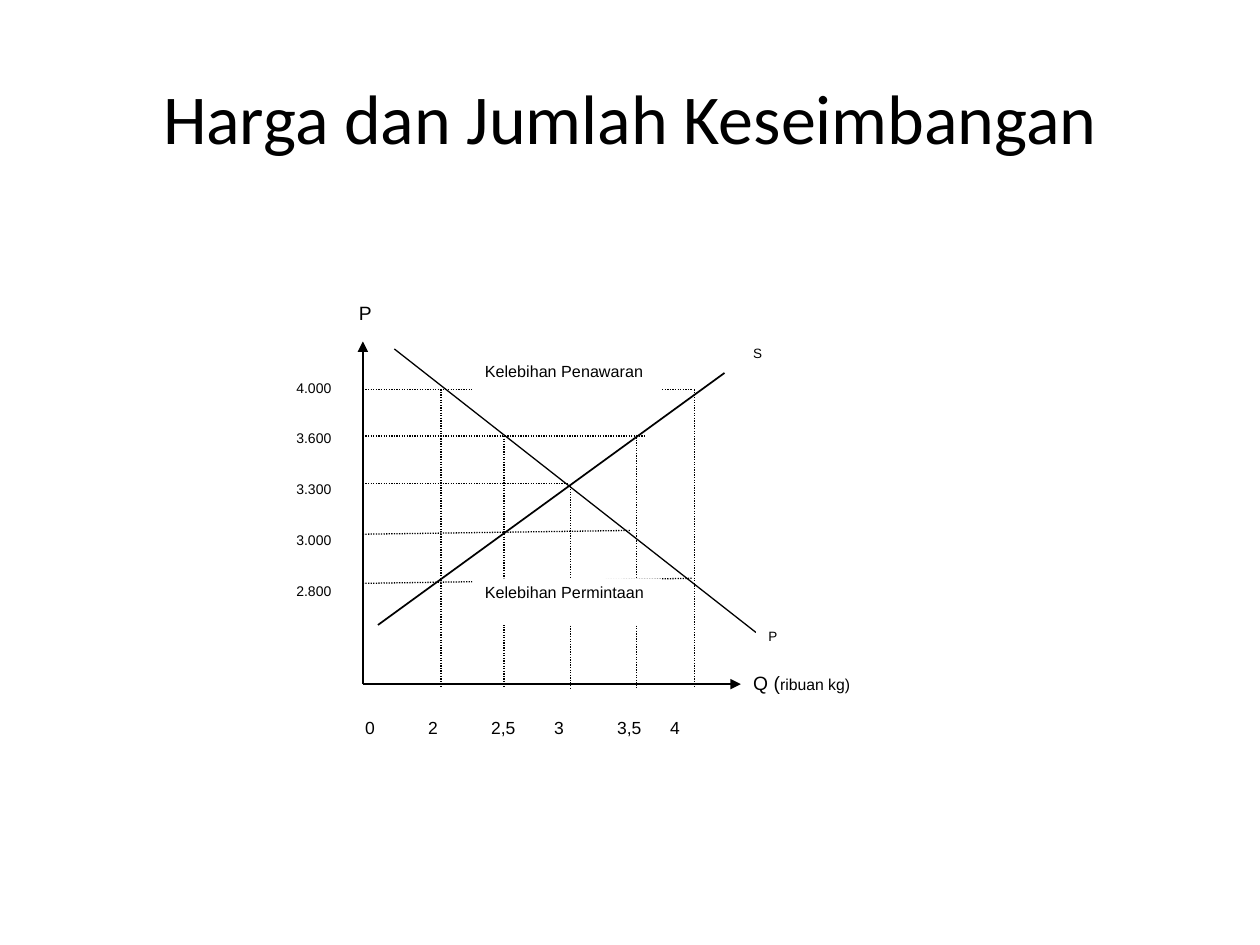
from lxml.etree import SubElement
from pptx import Presentation
from pptx.dml.color import RGBColor
from pptx.enum.dml import MSO_LINE_DASH_STYLE as DASH
from pptx.enum.shapes import MSO_CONNECTOR as CONNECTOR, MSO_SHAPE as SHAPE
from pptx.enum.text import MSO_ANCHOR as ANCHOR, MSO_AUTO_SIZE as AUTO_SIZE, PP_ALIGN as ALIGN
from pptx.oxml.ns import qn
from pptx.util import Inches, Pt

BLACK = RGBColor(0x00, 0x00, 0x00)
WHITE = RGBColor(0xFF, 0xFF, 0xFF)

TITLE = "Harga dan Jumlah Keseimbangan"
PRICES = ["4.000", "3.600", "3.300", "3.000", "2.800"]
QUANTITIES = ["0", "2", "2,5", "3", "3,5", "4"]
QUANTITY_TABS = [0.5, 1, 1.5, 2, 2.42]

ORIGIN_X, ORIGIN_Y = 2.88, 5.43
GUIDE_BOTTOM = 5.46
PRICE_GUIDES = [(3.09, 5.5, 3.09), (3.46, 5.13, 3.46), (3.84, 4.5, 3.84),
                (4.24, 5, 4.21), (4.63, 5.5, 4.59)]
QUANTITY_GUIDES = [(3.5, 3.09), (4, 3.46), (4.53, 3.84), (5.05, 3.45), (5.51, 3.09)]
SUPPLY = (3, 4.96, 5.75, 2.96)
DEMAND = (3.13, 2.77, 6, 5.02)

AXIS_LABELS = [
    ((2.75, 2.34, 0.38, 0.37), [("P", 11)]),
    ((5.88, 5.28, 1.04, 0.38), [("Q (", 11), ("ribuan kg)", 9)]),
]
CURVE_LABELS = [
    ((3.75, 4.59, 1.5, 0.37), [("Kelebihan Permintaan", 9.2)], 0.9),
    ((3.75, 2.84, 1.5, 0.37), [("Kelebihan Penawaran", 9.2)], 0.9),
    ((5.88, 2.71, 0.37, 0.25), [("S", 7.7)], 0.8),
    ((6, 4.96, 0.38, 0.25), [("P", 7.7)], 0.8),
]


def add_run(paragraph, text, size, font="Arial"):
    run = paragraph.add_run()
    run.text = text
    run.font.name = font
    run.font.size = Pt(size)
    run.font.color.rgb = BLACK


def add_label(slide, box, paragraphs, align=ALIGN.LEFT, line_spacing=1.0, gap=0):
    shape = slide.shapes.add_shape(SHAPE.RECTANGLE, *map(Inches, box))
    shape.shadow.inherit = False
    shape.fill.solid()
    shape.fill.fore_color.rgb = WHITE
    shape.line.fill.background()
    frame = shape.text_frame
    frame.word_wrap = True
    frame.vertical_anchor = ANCHOR.TOP
    for index, runs in enumerate(paragraphs):
        paragraph = frame.add_paragraph() if index else frame.paragraphs[0]
        paragraph.alignment = align
        paragraph.line_spacing = line_spacing
        if index:
            paragraph.space_before = Pt(gap)
        for text, size in runs:
            add_run(paragraph, text, size)
    return shape


def add_line(slide, points, width=0.75, dotted=False, arrow=False):
    line = slide.shapes.add_connector(CONNECTOR.STRAIGHT, *map(Inches, points))
    line.line.color.rgb = BLACK
    line.line.width = Pt(width)
    if dotted:
        line.line.dash_style = DASH.ROUND_DOT
    if arrow:
        SubElement(line.line._get_or_add_ln(), qn("a:tailEnd"), type="triangle")
    SubElement(line._element.spPr, qn("a:effectLst"))


def add_title(slide):
    title = slide.shapes.title
    title.left, title.top, title.width, title.height = map(Inches, (0.5, 0.3, 9, 1.25))
    frame = title.text_frame
    frame.auto_size = AUTO_SIZE.NONE
    frame.vertical_anchor = ANCHOR.MIDDLE
    paragraph = frame.paragraphs[0]
    paragraph.alignment = ALIGN.CENTER
    add_run(paragraph, TITLE, 40, "Calibri")


def add_scales(slide):
    add_label(slide, (2.16, 2.96, 0.57, 2.37), [[(price, 8)] for price in PRICES],
              align=ALIGN.RIGHT, gap=19.5)
    scale = add_label(slide, (2.8, 5.64, 3.15, 0.47), [[("\t".join(QUANTITIES), 10)]])
    properties = scale.text_frame.paragraphs[0]._p.get_or_add_pPr()
    tabs = SubElement(properties, qn("a:tabLst"))
    for position in QUANTITY_TABS:
        SubElement(tabs, qn("a:tab"), pos=str(Inches(position)), algn="l")


def main():
    presentation = Presentation()
    presentation.slide_width, presentation.slide_height = Inches(10), Inches(7.5)
    slide = presentation.slides.add_slide(presentation.slide_layouts[5])
    add_title(slide)
    add_line(slide, (ORIGIN_X, ORIGIN_Y, ORIGIN_X, 2.71), 1, arrow=True)
    add_line(slide, (ORIGIN_X, ORIGIN_Y, 5.88, ORIGIN_Y), 1, arrow=True)
    for box, runs in AXIS_LABELS:
        add_label(slide, box, [runs])
    add_scales(slide)
    for start_y, end_x, end_y in PRICE_GUIDES:
        add_line(slide, (ORIGIN_X, start_y, end_x, end_y), dotted=True)
    for x, top in QUANTITY_GUIDES:
        add_line(slide, (x, top, x, GUIDE_BOTTOM), dotted=True)
    add_line(slide, SUPPLY, 1)
    add_line(slide, DEMAND)
    for box, runs, spacing in CURVE_LABELS:
        add_label(slide, box, [runs], line_spacing=spacing)
    presentation.save("out.pptx")


if __name__ == "__main__":
    main()
